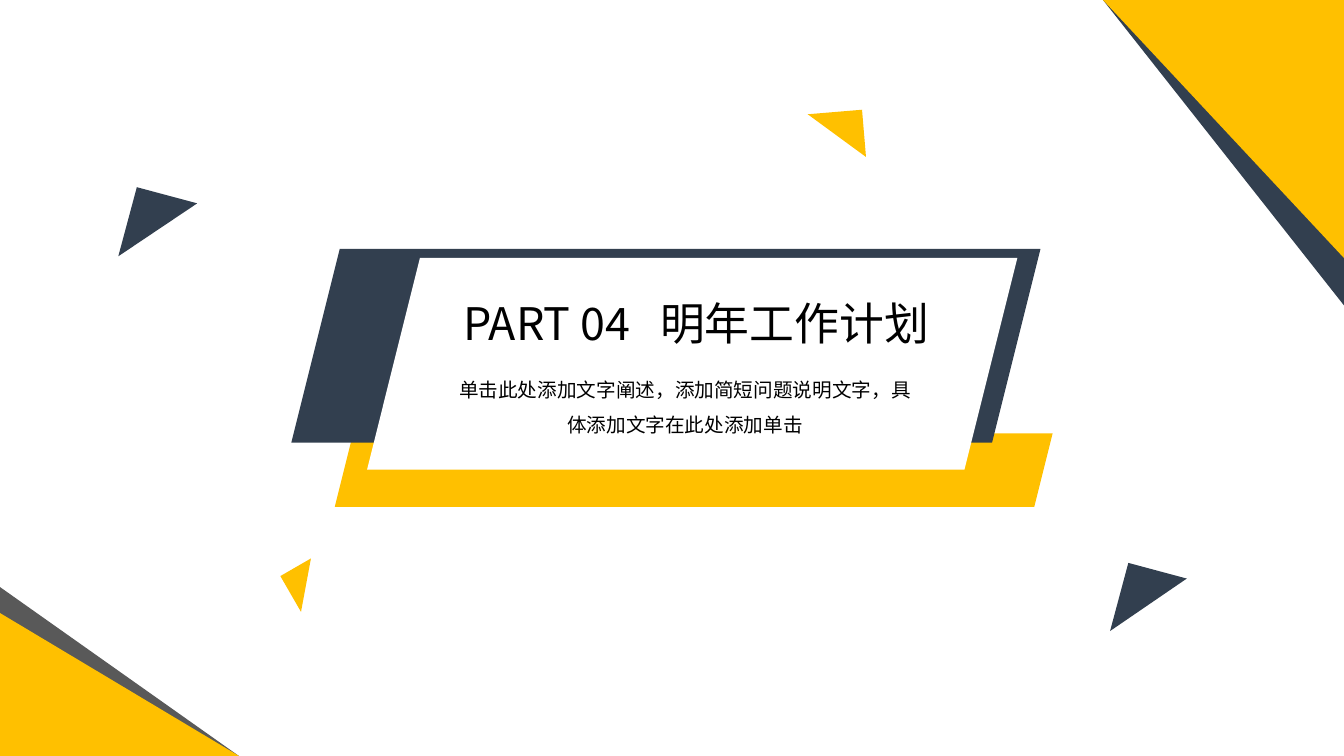
import pptx
import pptx.util
import pptx.dml.color
import pptx.enum.shapes
import pptx.enum.text

WIDTH, HEIGHT = 13.33, 7.5
NAVY, GOLD, GREY, WHITE, BLACK = "323F4F", "FFC000", "595959", "FFFFFF", "000000"
FONT = "Noto Sans CJK SC"
KINDS = pptx.enum.shapes.MSO_SHAPE

deck = pptx.Presentation()
deck.slide_width = pptx.util.Inches(WIDTH)
deck.slide_height = pptx.util.Inches(HEIGHT)
page = deck.slides.add_slide(deck.slide_layouts[6])


def add_block(kind, place, color, turn=0):
    shape = page.shapes.add_shape(kind, *map(pptx.util.Inches, place))
    shape.shadow.inherit = False
    shape.fill.solid()
    shape.fill.fore_color.rgb = pptx.dml.color.RGBColor.from_string(color)
    shape.line.fill.background()
    shape.rotation = turn
    if kind == KINDS.RIGHT_TRIANGLE or kind == KINDS.ISOSCELES_TRIANGLE:
        shape.adjustments[0] = 0


def add_text(place, spans, line_spacing=1.0, color=BLACK):
    box = page.shapes.add_textbox(*map(pptx.util.Inches, place))
    frame = box.text_frame
    frame.word_wrap = True
    frame.auto_size = pptx.enum.text.MSO_AUTO_SIZE.SHAPE_TO_FIT_TEXT
    para = frame.paragraphs[0]
    para.alignment = pptx.enum.text.PP_ALIGN.CENTER
    para.line_spacing = line_spacing
    for text, size in spans:
        span = para.add_run()
        span.text = text
        span.font.size = pptx.util.Pt(size)
        span.font.name = FONT
        span.font.color.rgb = pptx.dml.color.RGBColor.from_string(color)


# Title banner: stacked parallelograms
for place, color in [
    ((3.32, 4.3, 7.12, 0.73), GOLD),
    ((2.89, 2.47, 7.43, 1.92), NAVY),
    ((3.64, 2.56, 6.45, 2.1), WHITE),
]:
    add_block(KINDS.PARALLELOGRAM, place, color)

# Scattered triangles
for place, color, turn in [
    ((1.21, 1.97, 0.71, 0.62), NAVY, 105),
    ((2.83, 5.63, 0.41, 0.35), GOLD, 60),
    ((8.03, 1.11, 0.54, 0.47), GOLD, 175.2),
    ((11.04, 5.7, 0.7, 0.6), NAVY, 105),
]:
    add_block(KINDS.ISOSCELES_TRIANGLE, place, color, turn)

# Corner wedges: bottom left, then top right
WEDGE = 2.39
for tall, color in [(1.69, GREY), (1.43, GOLD)]:
    add_block(KINDS.ISOSCELES_TRIANGLE, (-0.02, HEIGHT - tall, WEDGE, tall), color)
for tall, color in [(3.03, NAVY), (2.56, GOLD)]:
    add_block(KINDS.ISOSCELES_TRIANGLE, (WIDTH - WEDGE, 0, WEDGE, tall), color, 180)

# Section title, with one wide space as the gap, and its description
add_text((4.32, 2.88, 5.17, 0.64), [("PART 04", 32), ("　", 21), ("明年工作计划", 32)])
add_text(
    (4.45, 3.58, 4.69, 0.77),
    [("单击此处添加文字阐述，添加简短问题说明文字，具体添加文字在此处添加单击", 14)],
    line_spacing=1.5,
)

deck.save("out.pptx")
